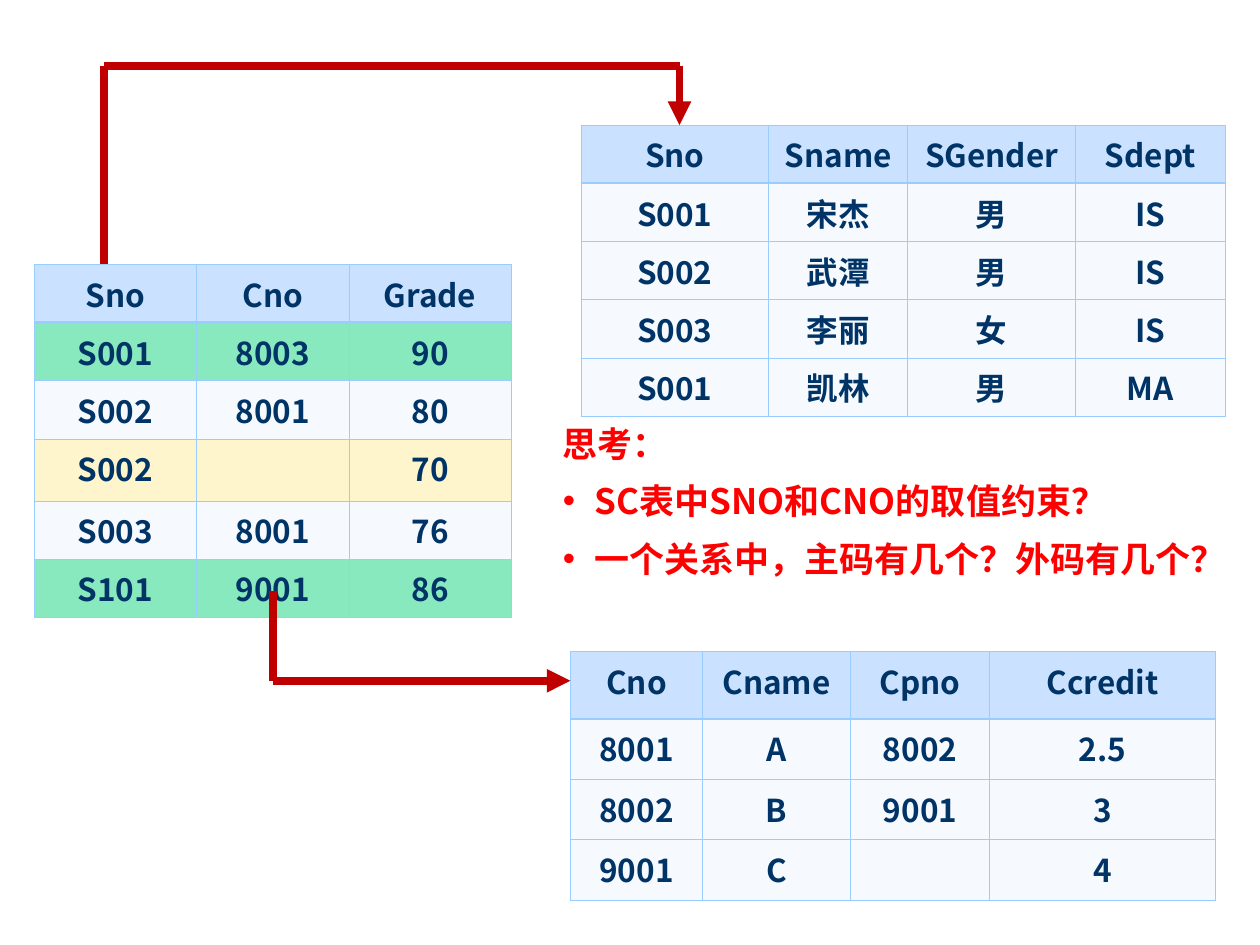
from pptx import Presentation
from pptx.dml.color import RGBColor
from pptx.enum.shapes import MSO_CONNECTOR as Link
from pptx.enum.text import PP_ALIGN as Align
from pptx.oxml import parse_xml
from pptx.oxml.ns import nsdecls
from pptx.util import Pt

FACE = "Noto Sans CJK SC"
HEAD, PLAIN, GREEN, CREAM = "CAE2FF", "F6FAFF", "88E9BE", "FFF5CC"


def color(code):
    """Turn a hex string into a colour."""
    return RGBColor.from_string(code)


def node(tag, attrs="", inner=""):
    """Make one drawing element."""
    return parse_xml(f"<a:{tag} {nsdecls('a')} {attrs}>{inner}</a:{tag}>")


def style(para, size, code):
    """Format the runs of a paragraph."""
    for run in para.runs:
        run.font.size, run.font.bold, run.font.name = Pt(size), True, FACE
        run.font.color.rgb = color(code)
        run.font._element.append(node("ea", f'typeface="{FACE}"'))


def edge(cell, side, width):
    """Draw one border of a cell."""
    fill = '<a:solidFill><a:srgbClr val="99CCFF"/></a:solidFill>'
    line = node(f"ln{side}", f'w="{Pt(width)}"', fill)
    cell._tc.get_or_add_tcPr().append(line)


def grid(slide, box, cols, rows, data, tints):
    """Place a relation table with a tinted header row."""
    frame = slide.shapes.add_table(len(rows), len(cols), *map(Pt, box))
    table = frame.table
    table.first_row = table.horz_banding = False
    for col, width in zip(table.columns, cols):
        col.width = Pt(width)
    for r, (high, words) in enumerate(zip(rows, data)):
        table.rows[r].height = Pt(high)
        for c, word in enumerate(words):
            cell = table.cell(r, c)
            for side in "LRTB":
                thick = (r, side) in ((0, "B"), (1, "T"))
                edge(cell, side, 1.47 if thick else 0.45)
            cell.fill.solid()
            cell.fill.fore_color.rgb = color(tints.get(r, PLAIN))
            if word:
                cell.text_frame.text = word
                para = cell.text_frame.paragraphs[0]
                para.alignment = Align.CENTER
                style(para, 18, "003366")


def asks(slide, box, title, items):
    """Place a heading with bulleted questions."""
    frame = slide.shapes.add_textbox(*map(Pt, box)).text_frame
    frame.word_wrap = True
    frame.text = "\n".join([title, *items])
    for i, para in enumerate(frame.paragraphs):
        para.line_spacing = 0.84
        if i:
            para.space_before = Pt(12.5)
            props = para._p.get_or_add_pPr()
            props.set("marL", str(Pt(18)))
            props.set("indent", str(-Pt(18)))
            props.append(node("buClr", "", '<a:srgbClr val="FF0000"/>'))
            props.append(node("buFont", 'typeface="Arial"'))
            props.append(node("buChar", 'char="•"'))
        style(para, 20, "FF0000")


def route(slide, points):
    """Join points with straight lines, ending in an arrowhead."""
    last = len(points) - 2
    for i, (start, end) in enumerate(zip(points, points[1:])):
        ends = map(Pt, (*start, *end))
        line = slide.shapes.add_connector(Link.STRAIGHT, *ends)
        line.line.color.rgb, line.line.width = color("C00000"), Pt(4.5)
        if i == last:
            line.line._get_or_add_ln().append(node("tailEnd", 'type="triangle"'))
        line._element.spPr.append(node("effectLst"))


def main():
    """Build the slide and save it."""
    deck = Presentation()
    deck.slide_width, deck.slide_height = Pt(720), Pt(540)
    slide = deck.slides.add_slide(deck.slide_layouts[6])
    pupils = [
        ("Sno", "Sname", "SGender", "Sdept"),
        ("S001", "宋杰", "男", "IS"),
        ("S002", "武潭", "男", "IS"),
        ("S003", "李丽", "女", "IS"),
        ("S001", "凯林", "男", "MA"),
    ]
    grades = [
        ("Sno", "Cno", "Grade"),
        ("S001", "8003", "90"),
        ("S002", "8001", "80"),
        ("S002", "", "70"),
        ("S003", "8001", "76"),
        ("S101", "9001", "86"),
    ]
    courses = [
        ("Cno", "Cname", "Cpno", "Ccredit"),
        ("8001", "A", "8002", "2.5"),
        ("8002", "B", "9001", "3"),
        ("9001", "C", "", "4"),
    ]
    grid(slide, (332, 71.5, 368, 166.5), (107.3, 79.3, 96.2, 85.2),
         [33.3] * 5, pupils, {0: HEAD})
    grid(slide, (19.5, 151, 272.6, 201.9), (92.7, 87.2, 92.7),
         [33.3] * 3 + [35.4] + [33.3] * 2, grades,
         {0: HEAD, 1: GREEN, 3: CREAM, 5: GREEN})
    grid(slide, (326, 372.2, 368.6, 142.3), (75.5, 84.5, 79.6, 129),
         [38.6] + [34.56] * 3, courses, {0: HEAD})
    asks(slide, (314.6, 241.9, 391, 104.4), "思考：",
         ["SC表中SNO和CNO的取值约束？", "一个关系中，主码有几个？外码有几个？"])
    route(slide, [(59.6, 151), (59.6, 37.5), (388.3, 37.5), (388.3, 71.5)])
    route(slide, [(155.8, 337.7), (155.8, 389), (326, 389)])
    deck.save("out.pptx")


if __name__ == "__main__":
    main()
